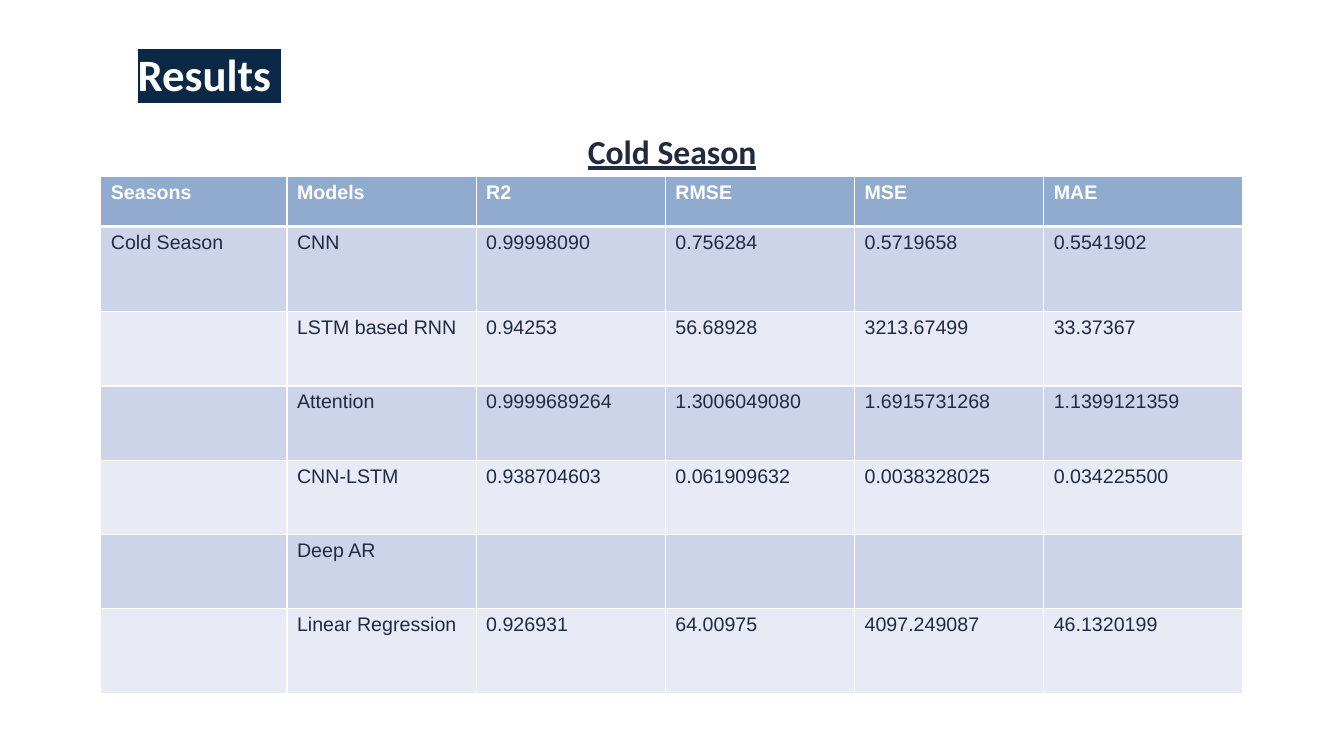
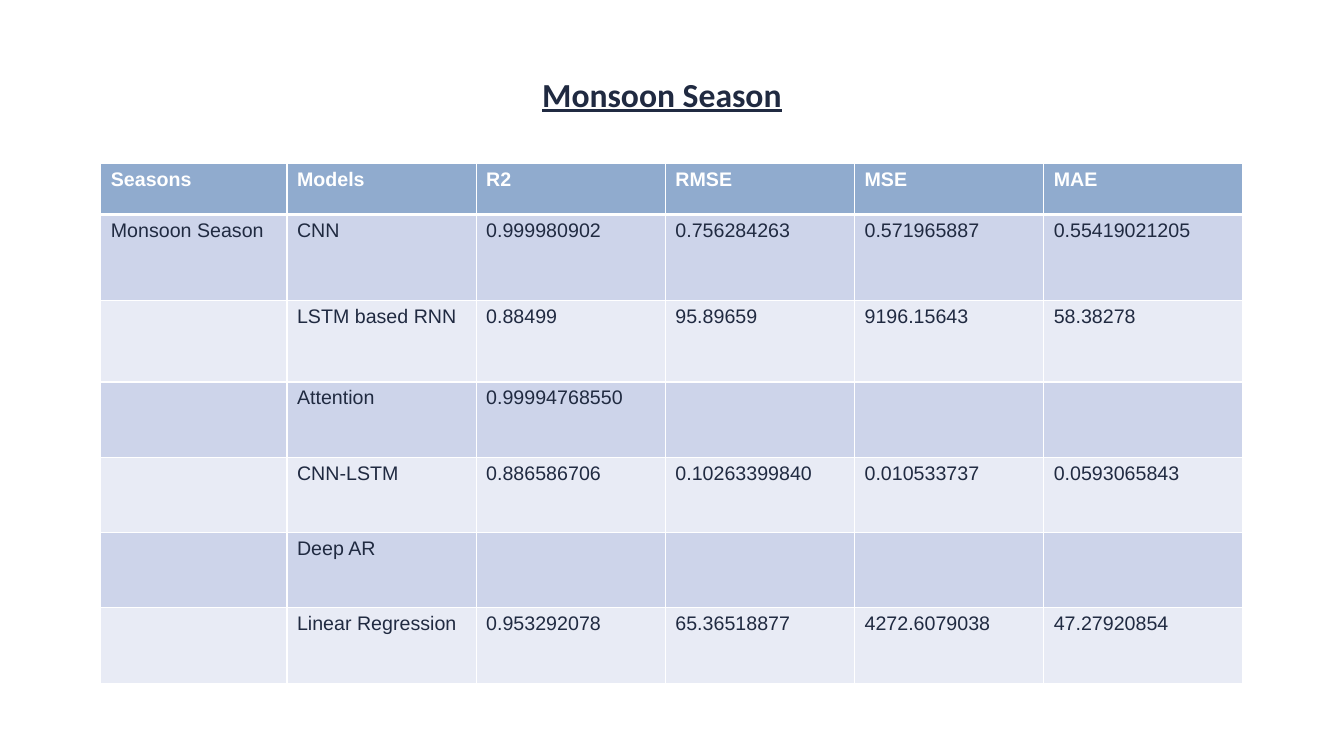
from dataclasses import dataclass

from lxml import etree
from pptx import Presentation
from pptx.dml.color import RGBColor
from pptx.oxml.ns import qn
from pptx.util import Inches, Pt

SLIDE_W, SLIDE_H = Inches(13.33), Inches(7.5)
BLANK_LAYOUT = 6


@dataclass(frozen=True)
class Theme:
    white: str = "FFFFFF"
    ink: str = "202A41"
    navy: str = "0B2947"
    header: str = "90ABCE"
    bands: tuple = ("CDD4EA", "E8EBF5")
    heading_font: str = "Calibri"
    table_font: str = "Arial"
    title_size: int = 32
    season_size: int = 24
    cell_size: int = 14
    rule: int = 1
    header_rule: int = 3


THEME = Theme()

# Shares of the slide, in percent
TABLE_LEFT, TABLE_WIDTH = 7.5, 85
COLUMN_WEIGHTS = (1.85, 1.88, 1.88, 1.88, 1.88, 1.98)

HEADINGS = ("Seasons", "Models", "R2", "RMSE", "MSE", "MAE")
MODELS = ("CNN", "LSTM based RNN", "Attention", "CNN-LSTM", "Deep AR",
          "Linear Regression")
COLD_SCORES = (
    ("0.99998090", "0.756284", "0.5719658", "0.5541902"),
    ("0.94253", "56.68928", "3213.67499", "33.37367"),
    ("0.9999689264", "1.3006049080", "1.6915731268", "1.1399121359"),
    ("0.938704603", "0.061909632", "0.0038328025", "0.034225500"),
    ("", "", "", ""),
    ("0.926931", "64.00975", "4097.249087", "46.1320199"),
)
MONSOON_SCORES = (
    ("0.999980902", "0.756284263", "0.571965887", "0.55419021205"),
    ("0.88499", "95.89659", "9196.15643", "58.38278"),
    ("0.99994768550", "", "", ""),
    ("0.886586706", "0.10263399840", "0.010533737", "0.0593065843"),
    ("", "", "", ""),
    ("0.953292078", "65.36518877", "4272.6079038", "47.27920854"),
)


def across(percent):
    return round(SLIDE_W * percent / 100)


def down(percent):
    return round(SLIDE_H * percent / 100)


def solid_color(parent, tag, color):
    """Append a colour element such as a:solidFill or a:highlight."""
    element = etree.SubElement(parent, qn(tag))
    etree.SubElement(element, qn("a:srgbClr")).set("val", color)
    return element


def write(frame, text, *, font, size, color, bold=False, underline=False,
          highlight=None):
    run = frame.paragraphs[0].add_run()
    run.text = text
    run.font.size = Pt(size)
    run.font.bold = bold
    run.font.underline = underline
    run.font.color.rgb = RGBColor.from_string(color)
    if highlight:
        properties = run.font._element
        mark = solid_color(properties, "a:highlight", highlight)
        properties.find(qn("a:solidFill")).addnext(mark)
    run.font.name = font


def add_label(slide, text, left, top, width, height, **text_format):
    box = slide.shapes.add_textbox(across(left), down(top), across(width),
                                   down(height))
    box.text_frame.word_wrap = True
    write(box.text_frame, text, **text_format)


def add_season_heading(slide, season, left, top, width):
    add_label(slide, season, left, top, width, 6.67, font=THEME.heading_font,
              size=THEME.season_size, color=THEME.ink, bold=True,
              underline=True)


def set_borders(cell, top, bottom):
    """Draw white rules; they must precede the fill in the cell properties."""
    properties = cell._tc.get_or_add_tcPr()
    widths = (("a:lnL", THEME.rule), ("a:lnR", THEME.rule),
              ("a:lnT", top), ("a:lnB", bottom))
    for position, (tag, width) in enumerate(widths):
        line = etree.Element(qn(tag))
        line.set("w", str(Pt(width)))
        solid_color(line, "a:solidFill", THEME.white)
        properties.insert(position, line)


def style_cell(cell, text, row):
    is_header = row == 0
    fill = THEME.header if is_header else THEME.bands[(row - 1) % 2]
    cell.fill.solid()
    cell.fill.fore_color.rgb = RGBColor.from_string(fill)
    set_borders(cell, top=THEME.header_rule if row == 1 else THEME.rule,
                bottom=THEME.header_rule if is_header else THEME.rule)
    if text:
        write(cell.text_frame, text, font=THEME.table_font,
              size=THEME.cell_size, bold=is_header,
              color=THEME.white if is_header else THEME.ink)


def share_out(tracks, attribute, total, weights):
    """Divide a length among table columns or rows by weight."""
    for track, weight in zip(tracks, weights):
        setattr(track, attribute, round(total * weight / sum(weights)))


def add_results_table(slide, season, scores, top, height, row_weights):
    records = [HEADINGS]
    for index, (model, values) in enumerate(zip(MODELS, scores)):
        records.append((season if index == 0 else "", model, *values))
    table = slide.shapes.add_table(
        len(records), len(HEADINGS), across(TABLE_LEFT), down(top),
        across(TABLE_WIDTH), down(height)).table
    share_out(table.columns, "width", across(TABLE_WIDTH), COLUMN_WEIGHTS)
    share_out(table.rows, "height", down(height), row_weights)
    for row, record in enumerate(records):
        for column, text in enumerate(record):
            style_cell(table.cell(row, column), text, row)


def build_cold_season(slide):
    add_results_table(slide, "Cold Season", COLD_SCORES, 23.33, 68.5,
                      (0.5, 0.85, 0.74, 0.74, 0.74, 0.74, 0.85))
    add_label(slide, "Results ", 9.5, 5.5, 15.5, 7.33,
              font=THEME.heading_font, size=THEME.title_size,
              color=THEME.white, bold=True, highlight=THEME.navy)
    add_season_heading(slide, "Cold Season", 43, 16.67, 17.9)


def build_monsoon_season(slide):
    add_results_table(slide, "Monsoon Season", MONSOON_SCORES, 21.6, 68.9,
                      (0.51, 0.86, 0.81, 0.75, 0.75, 0.75, 0.76))
    add_season_heading(slide, "Monsoon Season", 39.6, 9.07, 20.8)


def main():
    deck = Presentation()
    deck.slide_width, deck.slide_height = SLIDE_W, SLIDE_H
    for build in (build_cold_season, build_monsoon_season):
        build(deck.slides.add_slide(deck.slide_layouts[BLANK_LAYOUT]))
    deck.save("out.pptx")


if __name__ == "__main__":
    main()
